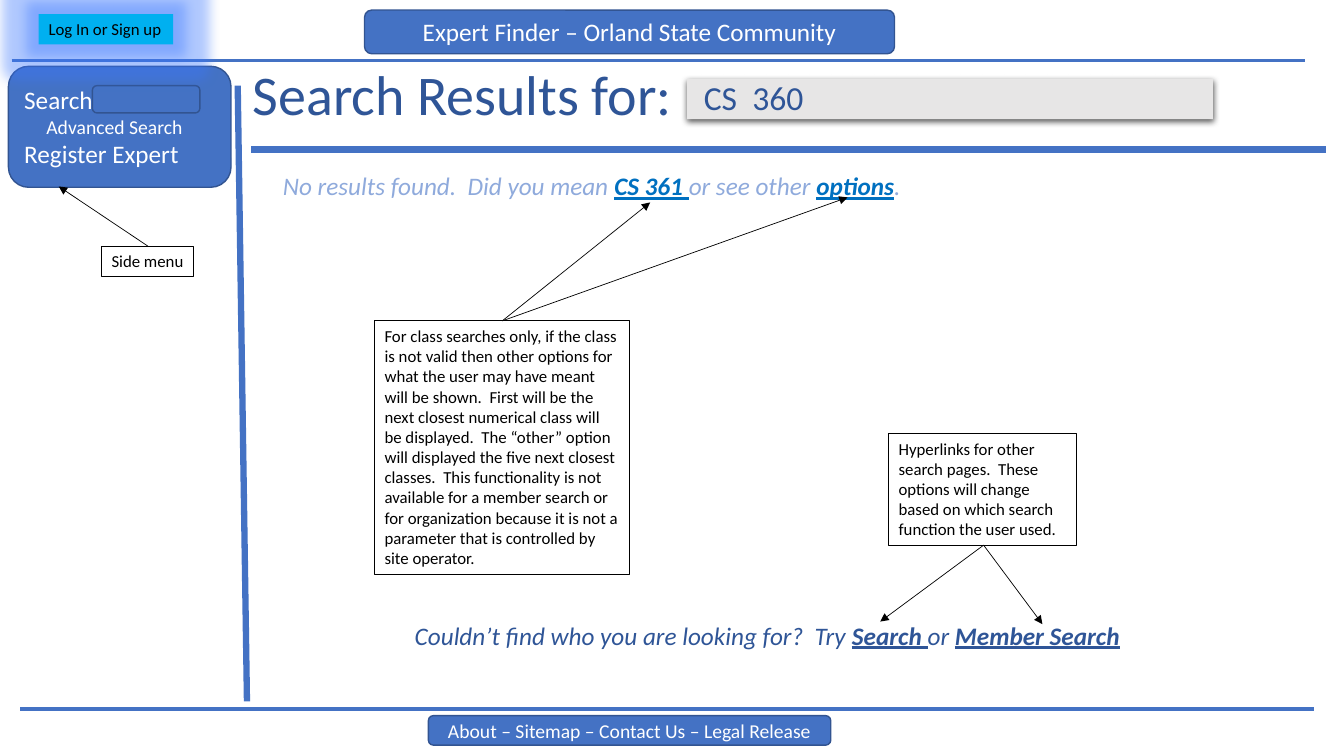
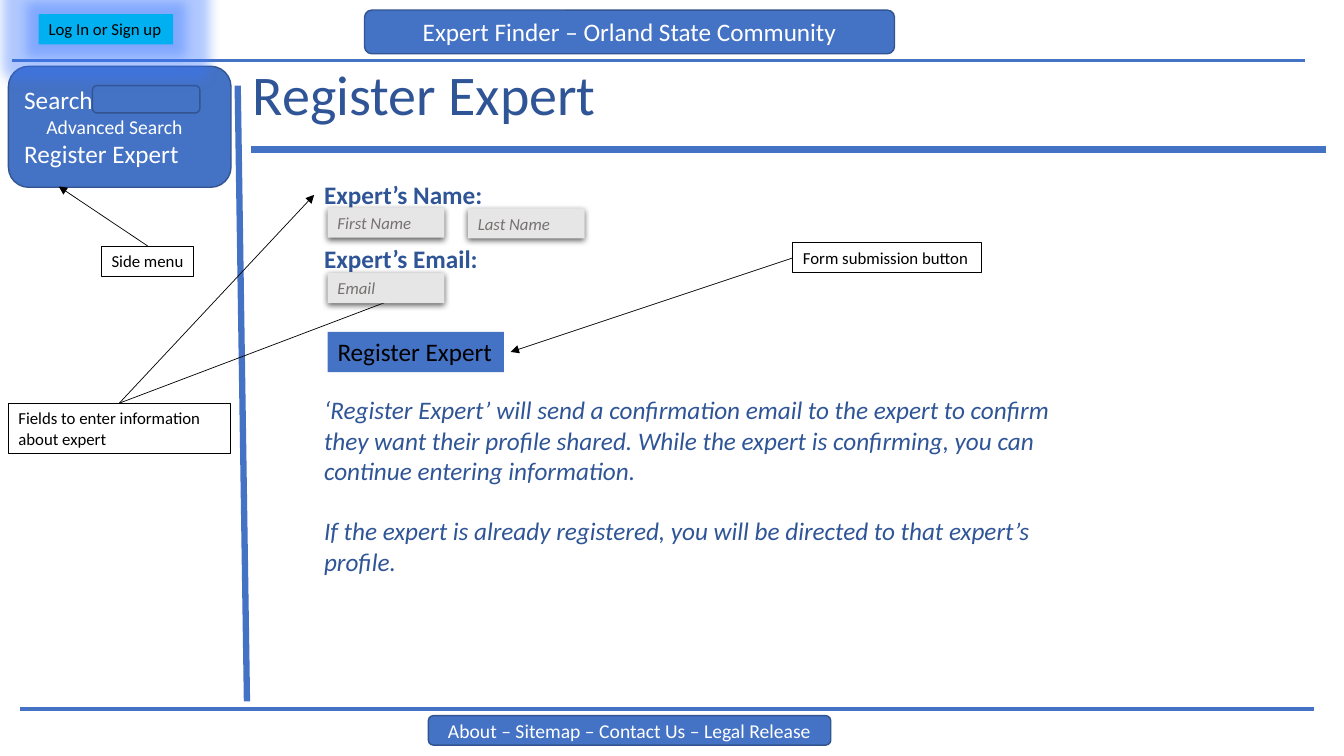
"""Build two wireframe slides of an expert finder: empty search results and expert registration."""
from lxml import etree
from pptx import Presentation
from pptx.dml.color import RGBColor
from pptx.enum.shapes import MSO_CONNECTOR, MSO_SHAPE
from pptx.enum.text import MSO_ANCHOR, MSO_AUTO_SIZE, PP_ALIGN
from pptx.oxml import parse_xml
from pptx.oxml.ns import nsdecls, qn
from pptx.util import Inches, Pt

BLUE = RGBColor(0x44, 0x72, 0xC4)
EDGE = RGBColor(0x32, 0x54, 0x91)
NAVY = RGBColor(0x2F, 0x55, 0x97)
PALE = RGBColor(0x8F, 0xAA, 0xDC)
LINK = RGBColor(0x00, 0x70, 0xC0)
CYAN = RGBColor(0x00, 0xB0, 0xF0)
GRAY = RGBColor(0xE7, 0xE6, 0xE6)
HINT = RGBColor(0x76, 0x71, 0x71)
BLACK = RGBColor(0, 0, 0)
WHITE = RGBColor(0xFF, 0xFF, 0xFF)

FONT = "Calibri"
ROUND, RECT = MSO_SHAPE.ROUNDED_RECTANGLE, MSO_SHAPE.RECTANGLE
STRAIGHT = MSO_CONNECTOR.STRAIGHT
TOP, MIDDLE = MSO_ANCHOR.TOP, MSO_ANCHOR.MIDDLE
LEFT, CENTER = PP_ALIGN.LEFT, PP_ALIGN.CENTER
NO_FIT = MSO_AUTO_SIZE.NONE

COLS, ROWS = 160, 90
CELL = Inches(1) // 12
NS = nsdecls("a")
SHADOW = (f'<a:outerShdw {NS} blurRad="57150" dist="19050" dir="5400000" algn="ctr" rotWithShape="0">'
          '<a:srgbClr val="000000"><a:alpha val="63000"/></a:srgbClr></a:outerShdw>')
GLOW = f'<a:glow {NS} rad="228600"><a:srgbClr val="3C78FF"><a:alpha val="40000"/></a:srgbClr></a:glow>'


def box(s, at, text="", size=12, color=BLACK, kind=None, fill=None, edge=None, edge_pt=0.75,
        effect=None, anchor=TOP, align=LEFT, bold=None, italic=None, wrap=True):
    """Add a text box, or a preset shape if kind is given, placed in grid cells."""
    frame = [int(n * CELL) for n in at]
    sp = s.shapes.add_shape(kind, *frame) if kind else s.shapes.add_textbox(*frame)
    if fill:
        sp.fill.solid()
        sp.fill.fore_color.rgb = fill
    if edge:
        sp.line.color.rgb = edge
        sp.line.width = Pt(edge_pt)
    else:
        sp.line.fill.background()
    sp.shadow.inherit = False
    if effect:
        sp._element.spPr.find(qn("a:effectLst")).append(parse_xml(effect))
    tf = sp.text_frame
    tf.word_wrap, tf.vertical_anchor, tf.text = wrap, anchor, text
    for p in tf.paragraphs:
        p.alignment = align
        p.font.name, p.font.size, p.font.color.rgb = FONT, Pt(size), color
        p.font.bold, p.font.italic = bold, italic
    return sp


def line(s, start, end, color=BLACK, width=0.5, arrow=True):
    """Join two grid points with a straight line."""
    c = s.shapes.add_connector(STRAIGHT, *(int(n * CELL) for n in start + end))
    c.line.color.rgb, c.line.width = color, Pt(width)
    if arrow:
        etree.SubElement(c.line._get_or_add_ln(), qn("a:tailEnd"), type="triangle")
    etree.SubElement(c._element.spPr, qn("a:effectLst"))


prs = Presentation()
prs.slide_width, prs.slide_height = COLS * CELL, ROWS * CELL

slides = []
for title, width in (("Search Results for:", 59), ("Register Expert", 84.6)):
    s = prs.slides.add_slide(prs.slide_layouts[5])
    slides.append(s)
    sp = s.shapes.title
    sp.left, sp.top, sp.width, sp.height = (int(n * CELL) for n in (28.9, 6.5, width, 9.2))
    tf = sp.text_frame
    tf.text, tf.vertical_anchor, tf.auto_size = title, TOP, NO_FIT
    p = tf.paragraphs[0]
    p.alignment = LEFT
    p.font.name, p.font.size, p.font.color.rgb = FONT, Pt(40), NAVY

    menu = box(s, (1, 7.9, 26.5, 14.4), "Search\nAdvanced Search\nRegister Expert", 18, WHITE,
               ROUND, BLUE, EDGE, 1, anchor=MIDDLE)
    p = menu.text_frame.paragraphs[1]
    p.font.size = Pt(14)
    p._p.get_or_add_pPr().set("marL", str(Inches(0.22)))
    box(s, (11, 10.2, 12.8, 3.25), kind=ROUND, fill=BLUE, edge=EDGE, edge_pt=1)
    for at, text, size in (
        ((43.4, 1.2, 63.1, 5.2), "Expert Finder – Orland State Community", 18),
        ((51, 85.2, 47.9, 3.5), "About – Sitemap – Contact Us – Legal Release", 14),
    ):
        box(s, at, text, size, WHITE, ROUND, BLUE, EDGE, 1, anchor=MIDDLE, align=CENTER)
    for start, end, weight in (
        ((1.4, 7.2), (155.4, 7.2), 2.25),
        ((2.4, 84.4), (156.4, 84.4), 2.25),
        ((29.9, 17.8), (157.8, 17.8), 4.5),
        ((28.3, 10.2), (29.4, 83.5), 4.5),
    ):
        line(s, start, end, BLUE, weight, arrow=False)
    box(s, (4.6, 1.7, 16, 3.6), "Log In or Sign up", fill=CYAN, effect=GLOW, wrap=False)
    box(s, (12.1, 29.3, 11, 3.6), "Side menu", edge=BLACK)
    line(s, (17.6, 29.3), (7, 22.2))

results, register = slides

box(results, (81.8, 9.4, 62.6, 4.8), kind=RECT, fill=GRAY, effect=SHADOW)
box(results, (82.6, 8.6, 16.4, 6), "CS  360", 24, NAVY)
for at, color, link_color, wrap, runs in (
    ((32.5, 19.7, 76.4, 4.8), PALE, LINK, False,
     ("No results found.  Did you mean ", "CS 361 ", "or see other ", "options", ".")),
    ((48.2, 73.2, 87.4, 4.8), NAVY, NAVY, True,
     ("Couldn’t find who you are looking for?  Try ", "Search ", "or ", "Member Search")),
):
    p = box(results, at, "", 18, color, italic=True, wrap=wrap).text_frame.paragraphs[0]
    for i, text in enumerate(runs):
        r = p.add_run()
        r.text = text
        if i % 2:
            r.font.bold = r.font.underline = True
            r.font.color.rgb = link_color
box(results, (44.6, 38.2, 30.4, 30.2),
    "For class searches only, if the class is not valid then other options for what the user may "
    "have meant will be shown.  First will be the next closest numerical class will be displayed.  "
    "The “other” option will displayed the five next closest classes.  This functionality is not "
    "available for a member search or for organization because it is not a parameter that is "
    "controlled by site operator.", edge=BLACK)
box(results, (105.8, 51.6, 22.4, 13.3),
    "Hyperlinks for other search pages.  These options will change based on which search function "
    "the user used.", edge=BLACK)
for start, ends in (
    ((59.8, 38.2), ((77.4, 24.1), (100.9, 23.5))),
    ((117.1, 64.9), ((104.8, 74), (124.1, 74.3))),
):
    for end in ends:
        line(results, start, end)

note = box(register, (37.4, 46.4, 89.3, 26.6),
           "‘Register Expert’ will send a confirmation email to the expert to confirm they want "
           "their profile shared. While the expert is confirming, you can continue entering "
           "information.\nIf the expert is already registered, you will be directed to that "
           "expert’s profile.", 18, NAVY, italic=True)
note.text_frame.paragraphs[1].space_before = Pt(21.6)
box(register, (94.4, 28.9, 22.4, 3.6), "Form submission button", edge=BLACK)
box(register, (1, 48, 26.5, 6), "Fields to enter information about expert", edge=BLACK)
for start, end in (
    ((14.2, 48), (37.4, 23.2)),
    ((14.2, 48), (49.3, 34.7)),
    ((94.4, 30.7), (60.8, 41.9)),
):
    line(register, start, end)
for top, width, text in ((20.8, 21.5, "Expert’s Name:"), (28.4, 20.9, "Expert’s Email:")):
    box(register, (37.4, top, width, 4.8), text, 18, NAVY, bold=True, wrap=False)
for left, top, text in ((39, 24.7, "First Name"), (55.7, 24.8, "Last Name"), (39, 32.5, "Email")):
    box(register, (left, top, 13.9, 3.6), text, color=HINT, fill=GRAY, effect=SHADOW, italic=True)
box(register, (39, 39.5, 21, 4.8), "Register Expert", 18, fill=BLUE, wrap=False)

prs.save("out.pptx")
